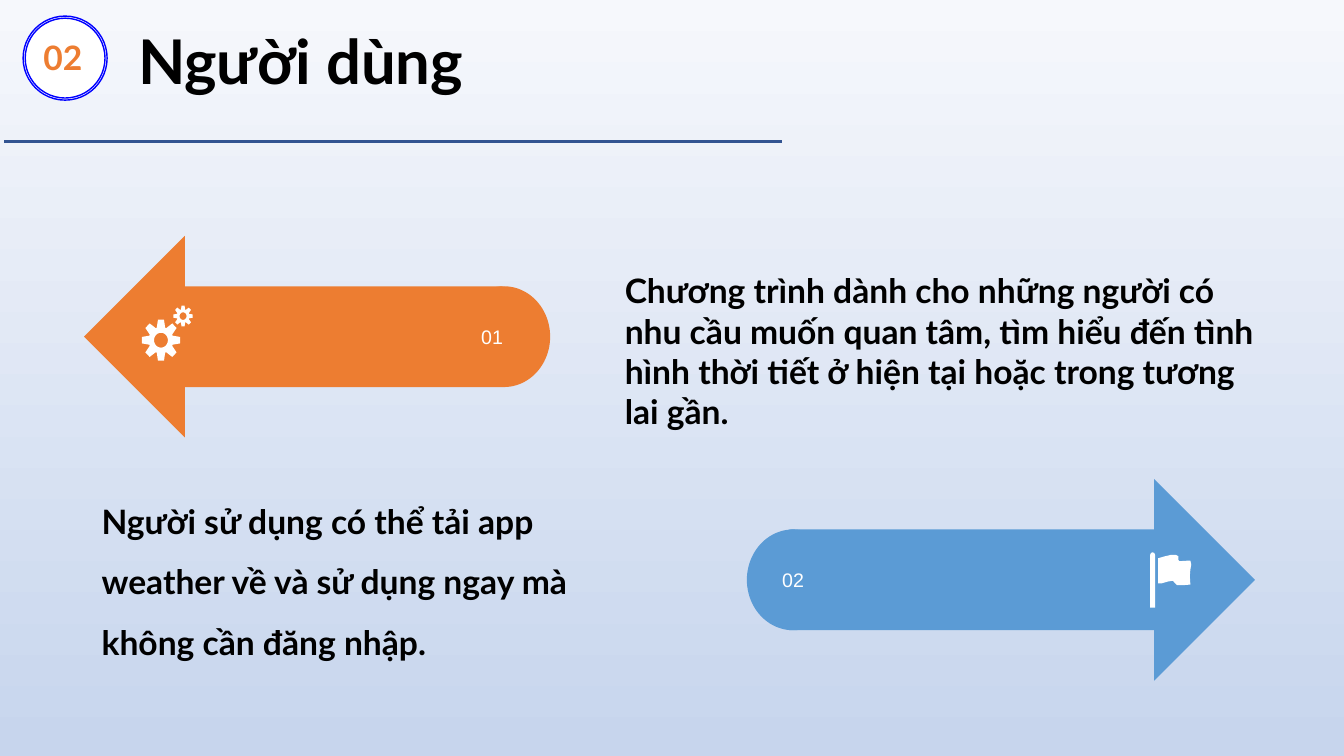
"""Build the slide on the users of a weather app."""
from dataclasses import dataclass
from math import cos, radians, sin

from lxml import etree
from pptx import Presentation, util as u
from pptx.dml.color import RGBColor
from pptx.enum import shapes, text
from pptx.oxml.ns import qn

Preset = shapes.MSO_SHAPE
Anchor = text.MSO_ANCHOR
Align = text.PP_ALIGN


@dataclass(frozen=True)
class Theme:
    orange: str = "ED7D31"
    blue: str = "5B9BD5"
    white: str = "FFFFFF"
    black: str = "000000"
    ring: str = "0000FF"
    rule: str = "325491"
    sky_top: str = "F6F8FC"
    sky_bottom: str = "C7D5ED"
    heading_font: str = "Lato"
    number_font: str = "Arial"
    title_size: int = 44
    body_size: int = 24
    number_size: int = 14


def assign(target, values):
    for name, value in values.items():
        setattr(target, name, value)


class SlideBuilder:
    def __init__(self, presentation, theme):
        self.theme = theme
        self.slide = presentation.slides.add_slide(presentation.slide_layouts[5])

    def background(self):
        fill = self.slide.background.fill
        fill.gradient()
        fill.gradient_angle = 270
        colors = (self.theme.sky_top, self.theme.sky_bottom)
        for stop, color, position in zip(fill.gradient_stops, colors, (0, 0.99)):
            stop.color.rgb = RGBColor.from_string(color)
            stop.position = position

    def set_text(self, shape, wording, size, color, font=None, bold=True,
                 paragraph_format=None, **frame_format):
        frame = shape.text_frame
        frame.text = wording
        assign(frame, {"word_wrap": True, **frame_format})
        paragraph = frame.paragraphs[0]
        assign(paragraph, {"alignment": Align.LEFT, **(paragraph_format or {})})
        assign(paragraph.runs[0].font, {
            "name": font or self.theme.heading_font,
            "size": u.Pt(size), "bold": bold})
        paragraph.runs[0].font.color.rgb = RGBColor.from_string(color)

    def title(self, wording, left, top, width, height):
        title = self.slide.shapes.title
        assign(title, {"left": u.Pt(left), "top": u.Pt(top),
                       "width": u.Pt(width), "height": u.Pt(height)})
        self.set_text(title, wording, self.theme.title_size, self.theme.black,
                      vertical_anchor=Anchor.TOP, auto_size=text.MSO_AUTO_SIZE.NONE)

    def text_box(self, wording, box, color, **formats):
        shape = self.slide.shapes.add_textbox(*map(u.Pt, box))
        self.set_text(shape, wording, self.theme.body_size, color,
                      auto_size=text.MSO_AUTO_SIZE.SHAPE_TO_FIT_TEXT, **formats)

    def paint(self, shape, color, outline=None):
        shape.shadow.inherit = False
        shape.fill.solid()
        shape.fill.fore_color.rgb = RGBColor.from_string(color)
        if outline:
            shape.line.color.rgb = RGBColor.from_string(outline)
            shape.line.width = u.Pt(1)
        else:
            shape.line.fill.background()

    def preset(self, kind, box, color, outline=None, rotation=0):
        shape = self.slide.shapes.add_shape(kind, *map(u.Pt, box))
        shape.rotation = rotation
        self.paint(shape, color, outline)
        return shape

    def rule(self, left, right, top):
        line = self.slide.shapes.add_connector(
            shapes.MSO_CONNECTOR.STRAIGHT, u.Pt(left), u.Pt(top), u.Pt(right), u.Pt(top))
        line.line.color.rgb = RGBColor.from_string(self.theme.rule)
        line.line.width = u.Pt(2.25)
        etree.SubElement(line._element.spPr, qn("a:effectLst"))

    def outline(self, *contours):
        contours = [[(u.Pt(x), u.Pt(y)) for x, y in contour] for contour in contours]
        builder = self.slide.shapes.build_freeform(*contours[0][0])
        builder.add_line_segments(contours[0][1:])
        for contour in contours[1:]:
            builder.move_to(*contour[0])
            builder.add_line_segments(contour[1:])
        self.paint(builder.convert_to_shape(), self.theme.white)

    def gear(self, center_x, center_y, radius):
        def point(angle, share):
            turn = radians(angle)
            return (center_x + 0.93 * radius * share * cos(turn),
                    center_y + radius * share * sin(turn))

        tooth = ((-20, 0.64), (-9, 1), (9, 1), (20, 0.64))
        rim = [point(start + angle, share)
               for start in range(0, 360, 45) for angle, share in tooth]
        hole = [point(angle, 0.36) for angle in range(0, 360, 15)]
        self.outline(rim, hole)

    def flag(self, left, top):
        cloth = ((23, 4), (15.1, 4.5), (14.4, 3.5), (14.4, 1), (12.8, 0), (9, 0),
                 (4, 1.2), (0, 2.4), (0, 20.4), (2.2, 20.4), (7, 19), (10.5, 18.5),
                 (12.2, 20.4), (13.5, 21.6), (18, 21.6), (23, 21.2), (22.6, 15),
                 (23, 10.4), (23.6, 7))
        pole = ((-2.2, 0), (-2.8, -1.4), (-4, -1.9), (-5.2, -1.4), (-5.8, 0),
                (-5.8, 37.7), (-2.2, 37.7))
        for contour in (cloth, pole):
            self.outline([(left + x, top + y) for x, y in contour])

    def arrow(self, wording, color, box, cap_left, alignment, rotation=0):
        self.preset(Preset.RIGHT_ARROW, box, color, rotation=rotation)
        cap = self.preset(Preset.OVAL, (cap_left, box[1] + 36, 66, 72), color)
        self.set_text(cap, wording, self.theme.number_size, self.theme.white,
                      font=self.theme.number_font, bold=False, word_wrap=False,
                      vertical_anchor=Anchor.MIDDLE,
                      paragraph_format={"alignment": alignment})


def main():
    presentation = Presentation()
    assign(presentation, {"slide_width": u.Pt(960), "slide_height": u.Pt(540)})
    theme = Theme()
    builder = SlideBuilder(presentation, theme)
    builder.background()
    builder.title("Người dùng", 91.4, 13, 273, 60.5)

    ring = builder.preset(Preset.DONUT, (16.5, 11.5, 60, 60), theme.white, theme.ring)
    ring.adjustments[0] = 0.049
    builder.preset(Preset.OVAL, (18, 13, 57, 57), theme.white, theme.ring)
    builder.text_box("02", (23.8, 23, 44.6, 36), theme.orange, word_wrap=False)
    builder.rule(3, 558.5, 101.3)

    builder.arrow("01", theme.orange, (60, 168.5, 299, 144), 327, Align.LEFT, 180)
    builder.arrow("02", theme.blue, (563.8, 342.2, 332.6, 144), 533.5, Align.CENTER)
    builder.gear(130.8, 225.8, 7.5)
    builder.gear(115, 243, 14.8)
    builder.flag(827.3, 396.4)

    builder.text_box(
        "Chương trình dành cho những người có nhu cầu muốn quan tâm, tìm hiểu "
        "đến tình hình thời tiết ở hiện tại hoặc trong tương lai gần.",
        (439.2, 189.4, 475.2, 123.8), theme.black)
    builder.text_box(
        "Người sử dụng có thể tải app weather về và sử dụng ngay mà "
        "không cần đăng nhập.",
        (65.5, 339.8, 391, 132.5), theme.black,
        paragraph_format={"line_spacing": 1.5})
    presentation.save("out.pptx")


if __name__ == "__main__":
    main()
